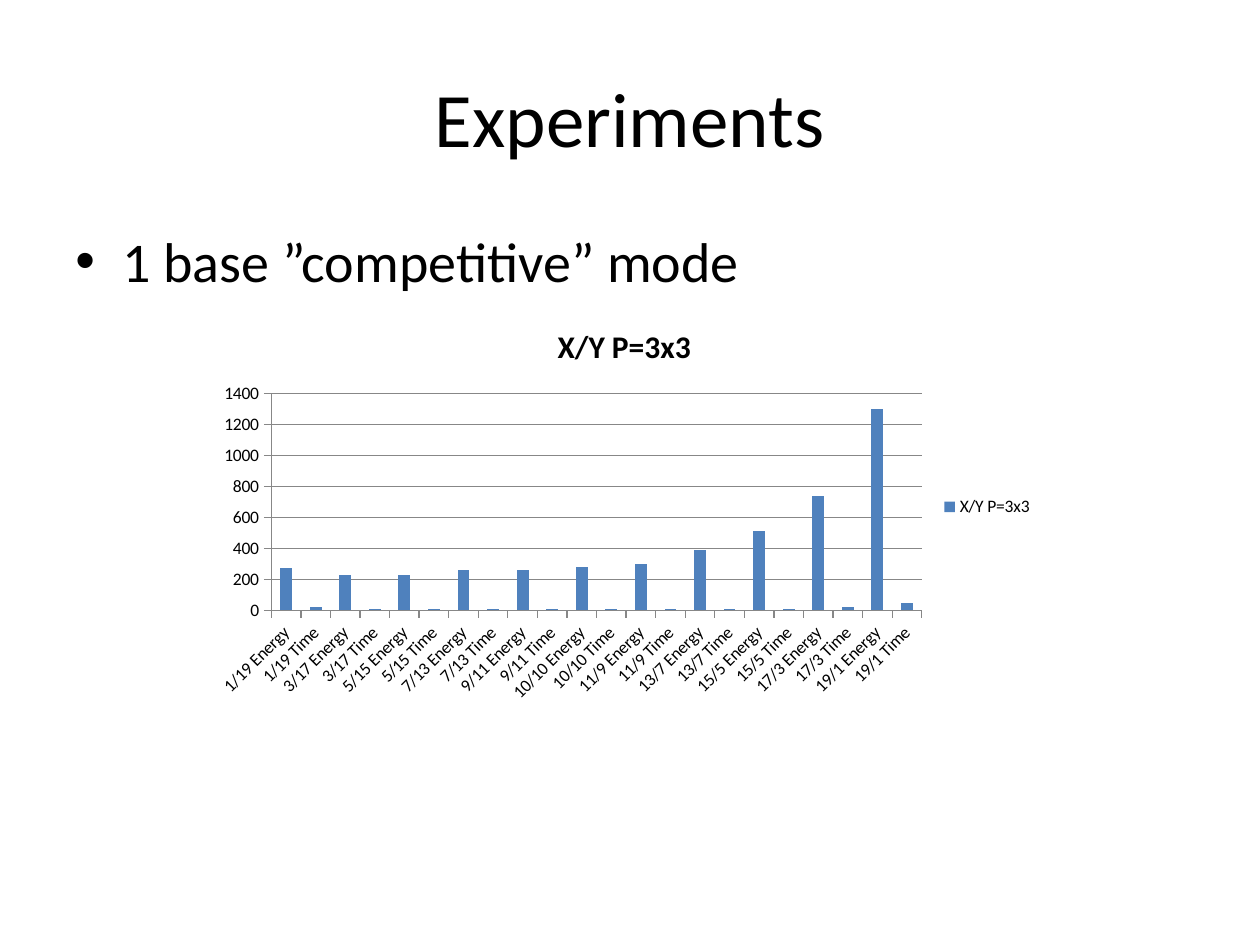
"""Build the Experiments slide with its energy and time column chart."""
from lxml import etree
from pptx import Presentation
from pptx.chart.data import CategoryChartData
from pptx.dml.color import RGBColor
from pptx.enum.chart import XL_CHART_TYPE, XL_LEGEND_POSITION, XL_TICK_MARK
from pptx.enum.text import MSO_ANCHOR, PP_ALIGN
from pptx.oxml.ns import qn
from pptx.util import Cm, Pt

BLACK = RGBColor(0x00, 0x00, 0x00)
BLUE = RGBColor(0x4F, 0x81, 0xBD)
GRAY = RGBColor(0x87, 0x87, 0x87)
CHART_NAME = "X/Y P=3x3"
RESULTS = {
    "1/19": (270, 20), "3/17": (230, 10), "5/15": (230, 10), "7/13": (260, 10),
    "9/11": (260, 10), "10/10": (280, 10), "11/9": (300, 10), "13/7": (390, 10),
    "15/5": (510, 10), "17/3": (740, 20), "19/1": (1300, 50),
}


def set_font(font, size, bold=False):
    """Apply the slide's typeface at the given size."""
    for name, value in {"name": "Calibri", "size": Pt(size), "bold": bold}.items():
        setattr(font, name, value)
    font.color.rgb = BLACK


prs = Presentation()
prs.slide_width, prs.slide_height = Cm(25.4), Cm(19.05)
s = prs.slides.add_slide(prs.slide_layouts[5])

title = s.shapes.title
title.left, title.top, title.width, title.height = Cm(1.27), Cm(0.76), Cm(22.86), Cm(3.18)
tf = title.text_frame
tf.text = "Experiments"
tf.vertical_anchor = MSO_ANCHOR.MIDDLE
p = tf.paragraphs[0]
p.alignment = PP_ALIGN.CENTER
set_font(p.runs[0].font, 44)

body = s.shapes.add_textbox(Cm(1.27), Cm(4.45), Cm(22.86), Cm(12.57))
tf = body.text_frame
tf.word_wrap = True
p = tf.paragraphs[0]
p.space_before = Pt(6.4)
r = p.add_run()
r.text = "1 base ”competitive” mode"
set_font(r.font, 32)
pPr = p._p.get_or_add_pPr()
pPr.set("marL", str(Cm(0.95)))
pPr.set("indent", str(Cm(-0.95)))
etree.SubElement(pPr, qn("a:buFont")).set("typeface", "Arial")
etree.SubElement(pPr, qn("a:buChar")).set("char", "•")

data = CategoryChartData()
data.categories = [f"{ratio} {kind}" for ratio in RESULTS for kind in ("Energy", "Time")]
data.add_series(CHART_NAME, [value for pair in RESULTS.values() for value in pair])
chart = s.shapes.add_chart(
    XL_CHART_TYPE.COLUMN_CLUSTERED, Cm(4.09), Cm(6.12), Cm(16.99), Cm(8.2), data
).chart
set_font(chart.font, 10)

chart.has_title = True
tf = chart.chart_title.text_frame
tf.text = CHART_NAME
set_font(tf.paragraphs[0].runs[0].font, 18, bold=True)
chart.chart_title.include_in_layout = False

chart.has_legend = True
chart.legend.position = XL_LEGEND_POSITION.RIGHT
chart.legend.include_in_layout = False

plot = chart.plots[0]
plot.gap_width = 150
plot.vary_by_categories = False
fill = plot.series[0].format.fill
fill.solid()
fill.fore_color.rgb = BLUE

cat_axis, val_axis = chart.category_axis, chart.value_axis
val_axis.has_major_gridlines = True
for axis in (cat_axis, val_axis):
    axis.major_tick_mark = XL_TICK_MARK.OUTSIDE
    axis.minor_tick_mark = XL_TICK_MARK.NONE
    set_font(axis.tick_labels.font, 10)
for part in (cat_axis, val_axis, val_axis.major_gridlines):
    part.format.line.color.rgb = GRAY
    part.format.line.width = Pt(0.75)
for name, value in {"minimum_scale": 0, "maximum_scale": 1400, "major_unit": 200}.items():
    setattr(val_axis, name, value)
cat_axis._element.find(qn("c:txPr")).find(qn("a:bodyPr")).set("rot", "-2700000")

prs.save("out.pptx")
